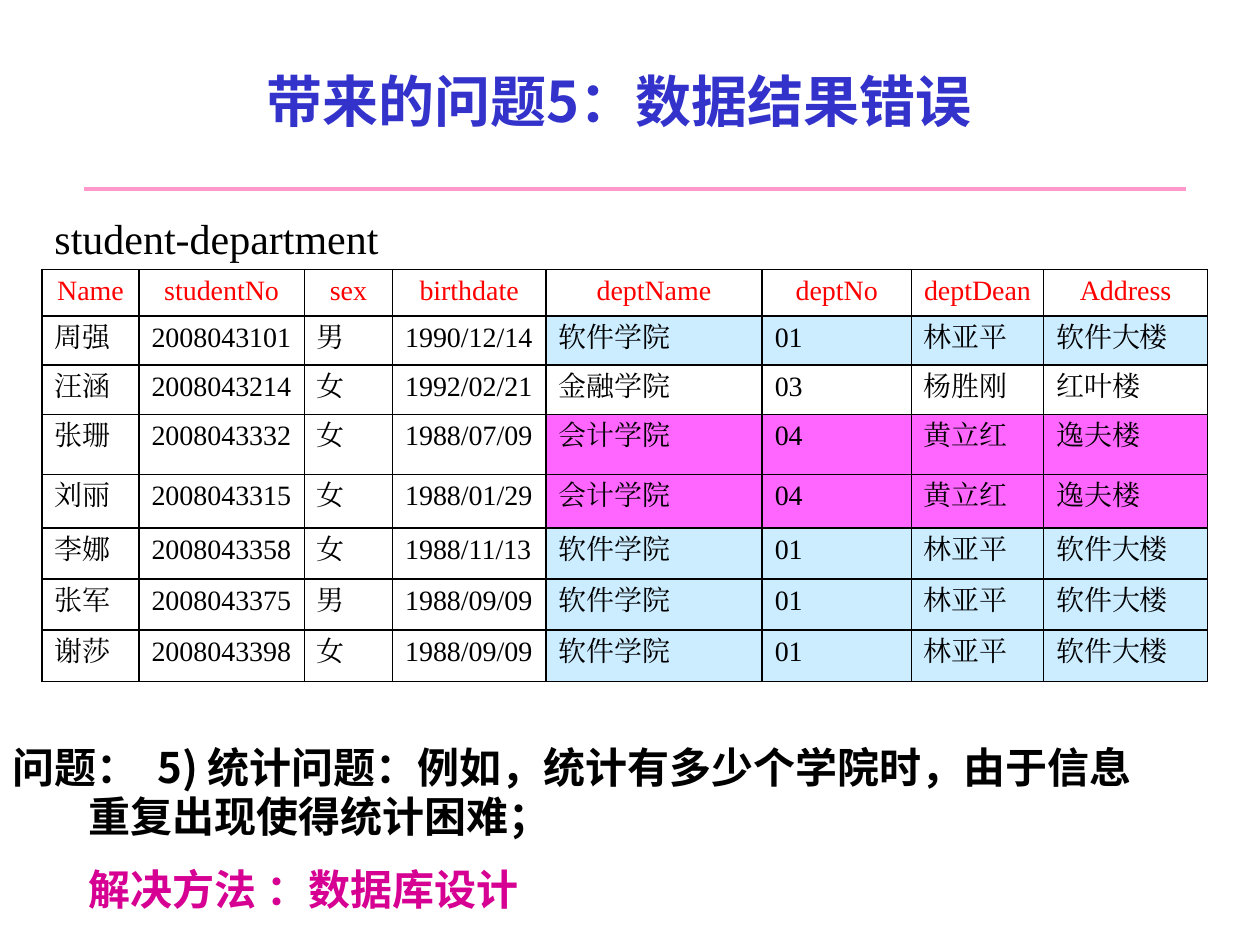
from dataclasses import dataclass

from lxml import etree
from pptx import Presentation
from pptx.dml.color import RGBColor
from pptx.enum import shapes, text
from pptx.oxml import ns
from pptx.util import Pt


@dataclass(frozen=True)
class Theme:
    cjk: str = "Noto Sans CJK SC"
    serif: str = "Times New Roman"
    title: str = "3333CC"
    ink: str = "000000"
    header: str = "FF0000"
    answer: str = "D60093"
    rule: str = "FF99CC"
    software: str = "CCECFF"
    accounting: str = "FF66FF"
    title_size: int = 32
    body_size: int = 24
    cell_size: int = 16


THEME = Theme()

HEADER = ["Name", "studentNo", "sex", "birthdate",
          "deptName", "deptNo", "deptDean", "Address"]
# Department facts repeat for every student, which is the point of the slide
DEPARTMENTS = {
    "01": ("软件学院", "01", "林亚平", "软件大楼"),
    "03": ("金融学院", "03", "杨胜刚", "红叶楼"),
    "04": ("会计学院", "04", "黄立红", "逸夫楼"),
}
DEPARTMENT_FILLS = {"01": THEME.software, "04": THEME.accounting}
STUDENTS = [
    ("周强", "2008043101", "男", "1990/12/14", "01"),
    ("汪涵", "2008043214", "女", "1992/02/21", "03"),
    ("张珊", "2008043332", "女", "1988/07/09", "04"),
    ("刘丽", "2008043315", "女", "1988/01/29", "04"),
    ("李娜", "2008043358", "女", "1988/11/13", "01"),
    ("张军", "2008043375", "男", "1988/09/09", "01"),
    ("谢莎", "2008043398", "女", "1988/09/09", "01"),
]
COLUMN_WIDTHS = [55.4, 94.5, 50.4, 87.6, 123.7, 85.2, 75.7, 93.6]
ROW_HEIGHTS = [26.5, 28.1, 28.3, 34.4, 30.5, 29.2, 29.2, 29.4]


def write(paragraph, words, *, size, color=THEME.ink, font=THEME.cjk,
          bold=False, align=text.PP_ALIGN.LEFT, before=0, line=None,
          left=0, first=0):
    """Write one formatted run and set its paragraph's layout."""
    run = paragraph.add_run()
    run.text = words
    run.font.size = Pt(size)
    run.font.bold = bold
    run.font.name = font
    run.font.color.rgb = RGBColor.from_string(color)
    east_asian = etree.SubElement(run.font._element, ns.qn("a:ea"))
    east_asian.set("typeface", font)
    paragraph.alignment = align
    paragraph.space_before = Pt(before)
    if line:
        paragraph.line_spacing = Pt(line)
    properties = paragraph._p.get_or_add_pPr()
    properties.set("marL", str(Pt(left)))
    properties.set("indent", str(Pt(first)))
    etree.SubElement(properties, ns.qn("a:buNone"))


def place(shape, left, top, width, height, anchor):
    shape.left, shape.top = Pt(left), Pt(top)
    shape.width, shape.height = Pt(width), Pt(height)
    frame = shape.text_frame
    frame.word_wrap = True
    frame.auto_size = text.MSO_AUTO_SIZE.NONE
    frame.vertical_anchor = anchor
    return frame


def add_rule(slide, left, right, y):
    rule = slide.shapes.add_connector(
        shapes.MSO_CONNECTOR.STRAIGHT, Pt(left), Pt(y), Pt(right), Pt(y))
    rule.line.color.rgb = RGBColor.from_string(THEME.rule)
    rule.line.width = Pt(2)
    etree.SubElement(rule._element.spPr, ns.qn("a:effectLst"))


def add_borders(cell):
    properties = cell._tc.get_or_add_tcPr()
    for position, side in enumerate(("lnL", "lnR", "lnT", "lnB")):
        border = etree.Element(ns.qn(f"a:{side}"), w=str(Pt(1)))
        fill = etree.SubElement(border, ns.qn("a:solidFill"))
        etree.SubElement(fill, ns.qn("a:srgbClr"), val=THEME.ink)
        properties.insert(position, border)


def fill_cell(cell, words, fill=None, **style):
    if fill:
        cell.fill.solid()
        cell.fill.fore_color.rgb = RGBColor.from_string(fill)
    else:
        cell.fill.background()
    add_borders(cell)
    write(cell.text_frame.paragraphs[0], words,
          size=THEME.cell_size, font=THEME.serif, **style)


def add_student_table(slide, left, top):
    table = slide.shapes.add_table(
        len(ROW_HEIGHTS), len(COLUMN_WIDTHS), Pt(left), Pt(top),
        Pt(sum(COLUMN_WIDTHS)), Pt(sum(ROW_HEIGHTS))).table
    table.first_row = table.horz_banding = False
    for column, width in zip(table.columns, COLUMN_WIDTHS):
        column.width = Pt(width)
    for row, height in zip(table.rows, ROW_HEIGHTS):
        row.height = Pt(height)

    for column, heading in enumerate(HEADER):
        fill_cell(table.cell(0, column), heading, color=THEME.header,
                  align=text.PP_ALIGN.CENTER)
    for row, (*personal, dept) in enumerate(STUDENTS, start=1):
        for column, words in enumerate([*personal, *DEPARTMENTS[dept]]):
            is_department = column >= len(personal)
            fill_cell(table.cell(row, column), words,
                      DEPARTMENT_FILLS.get(dept) if is_department else None)


def add_problem(body):
    frame = place(body, 0, 423.4, 700.6, 105.8, text.MSO_ANCHOR.TOP)
    lines = [
        ("问题：  5) 统计问题：例如，统计有多少个学院时，由于信息",
         dict(left=27, first=-27, before=2.4)),
        ("重复出现使得统计困难；", dict(left=43.6, before=2.4)),
        ("解决方法 ：数据库设计",
         dict(left=43.6, before=16.1, color=THEME.answer)),
    ]
    for index, (words, style) in enumerate(lines):
        paragraph = frame.add_paragraph() if index else frame.paragraphs[0]
        write(paragraph, words, size=THEME.body_size, bold=True,
              line=25.6, **style)


def main():
    deck = Presentation()
    deck.slide_width, deck.slide_height = Pt(720), Pt(540)
    slide = deck.slides.add_slide(deck.slide_layouts[1])
    title, body = slide.placeholders

    # Title and rule
    heading = place(title, 36, 12.2, 635.8, 90, text.MSO_ANCHOR.MIDDLE)
    write(heading.paragraphs[0], "带来的问题5：数据结果错误",
          size=THEME.title_size, color=THEME.title, bold=True,
          align=text.PP_ALIGN.CENTER)
    add_rule(slide, 48, 678, 108)

    # Problem and answer
    add_problem(body)

    # Table with its caption
    caption = place(slide.shapes.add_textbox(0, 0, 0, 0),
                    24, 118, 234, 36, text.MSO_ANCHOR.MIDDLE)
    write(caption.paragraphs[0], "student-department",
          size=THEME.body_size, font=THEME.serif)
    add_student_table(slide, 24, 154)

    deck.save("out.pptx")


if __name__ == "__main__":
    main()
